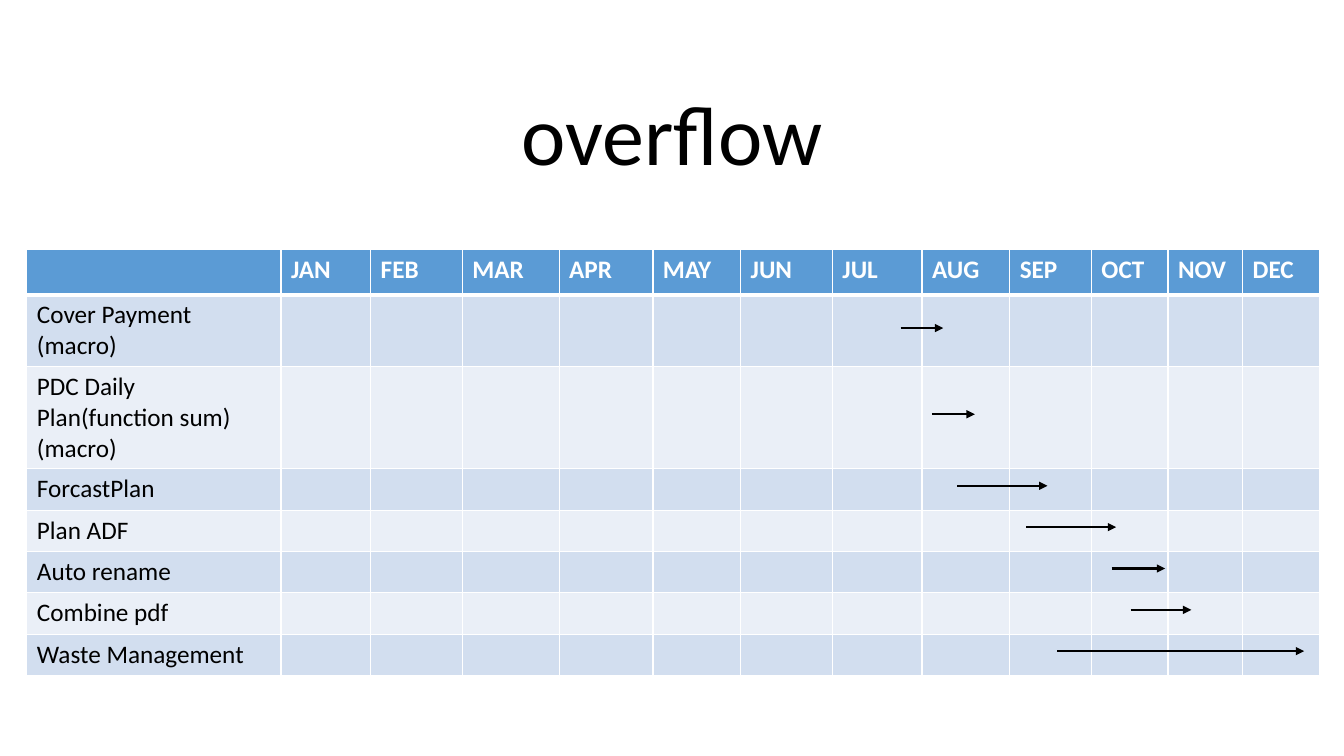
from itertools import accumulate
from lxml import etree
from pptx import Presentation
from pptx.dml.color import RGBColor
from pptx.enum.shapes import MSO_CONNECTOR
from pptx.enum.text import MSO_ANCHOR, PP_ALIGN
from pptx.oxml.ns import qn
from pptx.util import Inches, Pt

LINE = MSO_CONNECTOR.STRAIGHT
LOW = MSO_ANCHOR.BOTTOM
MID = PP_ALIGN.CENTER
FONT = "Calibri"
HUES = {"head": "5B9BD5", "odd": "D2DEEF", "even": "EAEFF7",
        "rule": "FFFFFF", "ink": "000000"}
WIDE, HIGH = 13.33, 7.5
MONTHS = "JAN FEB MAR APR MAY JUN JUL AUG SEP OCT NOV DEC".split()
COLS = [2.52, 0.89, 0.91, 0.96, 0.93, 0.87, 0.91,
        0.89, 0.87, 0.81, 0.76, 0.74, 0.76]
ROWS = [0.45, 0.7, 1.01] + [0.41] * 5
TASKS = [
    ("Cover Payment\n(macro)", 6.76, 7.24),
    ("PDC Daily Plan(function sum)\n(macro)", 7.11, 7.6),
    ("ForcastPlan", 7.4, 8.46),
    ("Plan ADF", 8.2, 9.32),
    ("Auto rename", 9.26, 9.96),
    ("Combine pdf", 9.51, 10.31),
    ("Waste Management", 8.58, 11.8),
]


def hue(name):
    return RGBColor.from_string(HUES[name])


def style(para, size, color, bold=False):
    font = para.font
    font.name, font.size, font.bold = FONT, Pt(size), bold
    font.color.rgb = hue(color)


def title(slide, box, text):
    frame = slide.shapes.add_textbox(*map(Inches, box)).text_frame
    frame.word_wrap = True
    frame.vertical_anchor = LOW
    para = frame.paragraphs[0]
    para.text = text
    para.alignment = MID
    para.line_spacing = 0.9
    style(para, 60, "ink")


def edge(cell, sides):
    props = cell._tc.get_or_add_tcPr()
    for spot, (side, width) in enumerate(sides.items()):
        line = etree.Element(qn("a:ln" + side), w=str(Pt(width)))
        fill = etree.SubElement(line, qn("a:solidFill"))
        etree.SubElement(fill, qn("a:srgbClr"), val=HUES["rule"])
        props.insert(spot, line)


def grid(slide, box):
    table = slide.shapes.add_table(
        len(ROWS), len(COLS), *map(Inches, box)).table
    for col, width in zip(table.columns, COLS):
        col.width = Inches(width)
    for row, height in zip(table.rows, ROWS):
        row.height = Inches(height)
    texts = [[""] + MONTHS]
    texts += [[name] + [""] * len(MONTHS) for name, _, _ in TASKS]
    for r, line in enumerate(texts):
        shade = "head" if r == 0 else "odd" if r % 2 else "even"
        for c, text in enumerate(line):
            cell = table.cell(r, c)
            cell.text = text
            cell.fill.solid()
            cell.fill.fore_color.rgb = hue(shade)
            edge(cell, {"L": 1, "R": 1, "T": 3 if r == 1 else 1,
                        "B": 3 if r == 0 else 1})
            for para in cell.text_frame.paragraphs:
                style(para, 18, "ink" if r else "rule", r == 0)


def arrow(slide, start, end, y):
    link = slide.shapes.add_connector(
        LINE, Inches(start), Inches(y), Inches(end), Inches(y))
    link.line.color.rgb = hue("ink")
    link.line.width = Pt(1.5)
    etree.SubElement(link.line._get_or_add_ln(), qn("a:tailEnd"),
                     type="triangle")
    etree.SubElement(link._element.spPr, qn("a:effectLst"))


def plan(slide, box):
    left, top, _, _ = box
    grid(slide, box)
    xs = list(accumulate(COLS, initial=left))
    ys = list(accumulate(ROWS, initial=top))

    def at(month):
        col = int(month) + 1
        return xs[col] + month % 1 * COLS[col]

    for row, (_, start, end) in enumerate(TASKS, 1):
        arrow(slide, at(start), at(end), ys[row] + ROWS[row] / 2 - 0.02)


deck = Presentation()
deck.slide_width, deck.slide_height = Inches(WIDE), Inches(HIGH)
page = deck.slides.add_slide(deck.slide_layouts[6])
plan(page, (0.02 * WIDE, 0.33 * HIGH, sum(COLS), sum(ROWS)))
title(page, (0.07 * WIDE, 0.05 * HIGH, 0.86 * WIDE, 0.2 * HIGH), "overflow")
deck.save("out.pptx")
